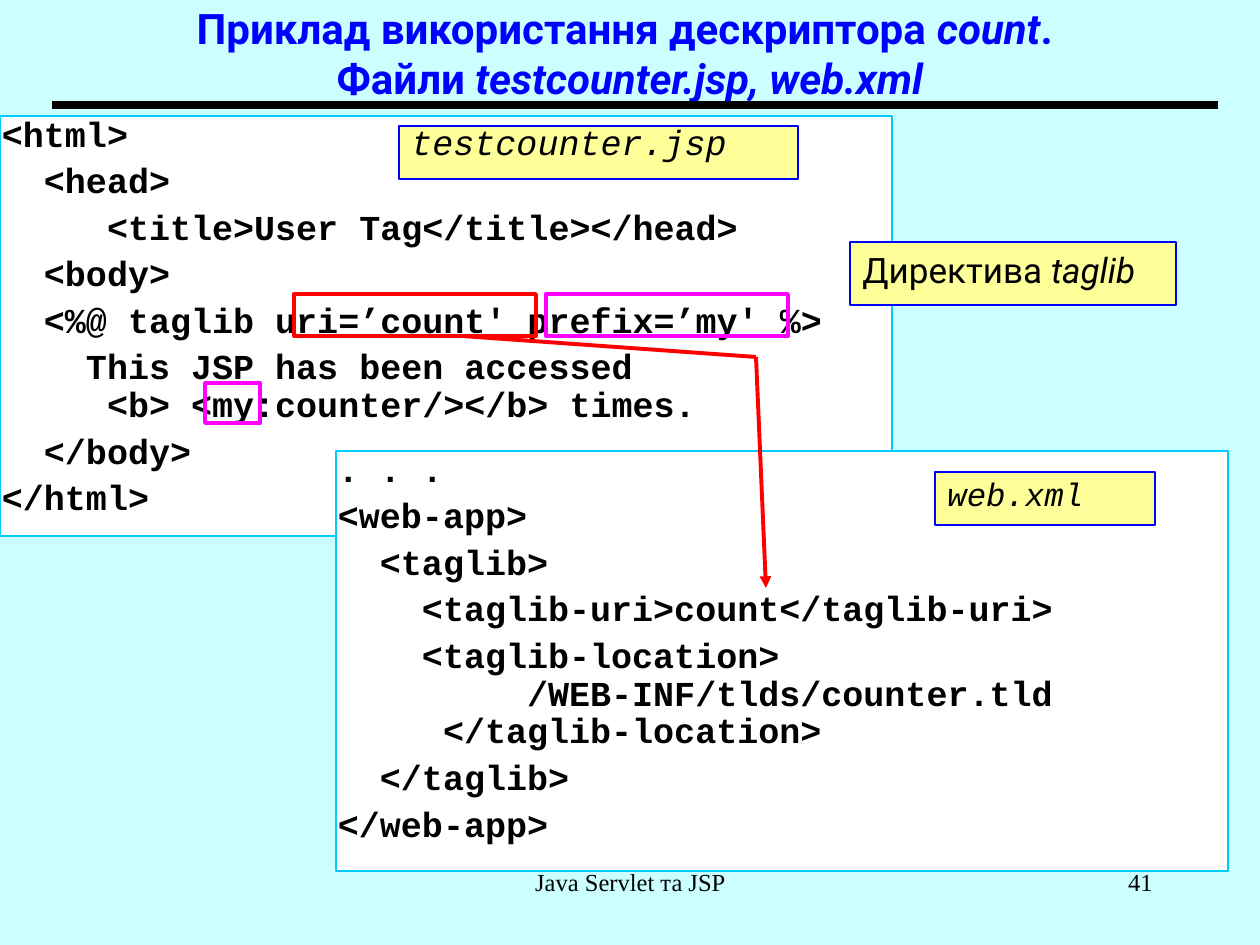
from pptx import Presentation
from pptx.dml.color import RGBColor
from pptx.enum.shapes import MSO_CONNECTOR, MSO_SHAPE
from pptx.enum.text import MSO_ANCHOR, MSO_AUTO_SIZE, PP_ALIGN
from pptx.oxml.ns import qn
from pptx.util import Pt
from lxml.etree import SubElement

PX = 914400 / 126

BACKGROUND = RGBColor(0xCC, 0xFF, 0xFF)
BLACK = RGBColor(0, 0, 0)
WHITE = RGBColor(0xFF, 0xFF, 0xFF)
BLUE = RGBColor(0, 0, 0xFF)
CYAN = RGBColor(0, 0xCC, 0xFF)
YELLOW = RGBColor(0xFF, 0xFF, 0x99)
RED = RGBColor(0xFF, 0, 0)
MAGENTA = RGBColor(0xFF, 0, 0xFF)

CODE, SANS, SERIF = "Courier New", "Roboto", "Times New Roman"

# Runs are (text, italic)
TITLE_LINES = [
    [("Приклад використання дескриптора ", False), ("count", True), (". ", False)],
    [("Файли", False), (" testcounter.jsp, web.xml", True)],
]

# Each item is a paragraph; a newline inside it is a line break
JSP_CODE = [
    "<html>",
    "  <head>",
    "     <title>User Tag</title></head>",
    "  <body>",
    "  <%@ taglib uri=’count' prefix=’my' %>",
    "    This JSP has been accessed \n     <b> <my:counter/></b> times.",
    "  </body>",
    "</html>",
]
XML_CODE = [
    ". . .",
    "<web-app>",
    "  <taglib>",
    "    <taglib-uri>count</taglib-uri>",
    "    <taglib-location>\n         /WEB-INF/tlds/counter.tld\n     </taglib-location>",
    "  </taglib>",
    "</web-app>",
]
CODE_PANELS = [((0, 116, 892, 420), JSP_CODE), ((336, 451, 892, 420), XML_CODE)]

# box, runs, font, size, line spacing
LABELS = [
    ((399, 126, 399, 53), [("testcounter.jsp", True)], CODE, 20, 0.7),
    ((935, 472, 220, 53), [("web.xml", True)], CODE, 18.5, 0.9),
    ((850, 242, 326, 63), [("Директива", False), (" taglib", True)], SANS, 20, 1.0),
]
HIGHLIGHTS = [
    ((546, 294, 242, 42), MAGENTA),
    ((294, 294, 242, 42), RED),
    ((205, 383, 55, 40), MAGENTA),
]
# start, end, colour, width, arrowhead
LINES = [
    ((52, 105), (1218, 105), BLACK, 4.5, False),
    ((756, 357), (766, 588), RED, 2.25, True),
    ((462, 336), (756, 357), RED, 2.25, False),
]
FOOTERS = [
    ((431, 861, 399, 63), "Java Servlet та JSP", PP_ALIGN.CENTER),
    ((903, 861, 262, 63), "41", PP_ALIGN.RIGHT),
]


def px(*lengths):
    return [round(length * PX) for length in lengths]


def set_font(paragraph, name, size, color=BLACK, bold=False):
    font = paragraph.font
    font.name, font.size, font.bold = name, Pt(size), bold
    font.color.rgb = color


def add_runs(paragraph, runs):
    for text, italic in runs:
        run = paragraph.add_run()
        run.text = text
        run.font.italic = italic


def add_rectangle(slide, box, line_color, line_width, fill_color=None):
    shape = slide.shapes.add_shape(MSO_SHAPE.RECTANGLE, *px(*box))
    shape.shadow.inherit = False
    if fill_color is None:
        shape.fill.background()
    else:
        shape.fill.solid()
        shape.fill.fore_color.rgb = fill_color
    shape.line.color.rgb = line_color
    shape.line.width = Pt(line_width)
    shape.text_frame.vertical_anchor = MSO_ANCHOR.TOP
    return shape


def add_code_panel(slide, box, code):
    frame = add_rectangle(slide, box, CYAN, 1, WHITE).text_frame
    frame.margin_left, frame.margin_top, frame.margin_right, frame.margin_bottom = px(2, 1, 0, 1)
    for index, text in enumerate(code):
        paragraph = frame.add_paragraph() if index else frame.paragraphs[0]
        paragraph.text = text
        paragraph.alignment = PP_ALIGN.LEFT
        paragraph.line_spacing = 0.9
        paragraph.space_before = Pt(5 if index else 0)
        set_font(paragraph, CODE, 20, bold=True)


def add_label(slide, box, runs, font_name, size, line_spacing):
    paragraph = add_rectangle(slide, box, BLUE, 1.5, YELLOW).text_frame.paragraphs[0]
    paragraph.alignment = PP_ALIGN.LEFT
    paragraph.line_spacing = line_spacing
    add_runs(paragraph, runs)
    set_font(paragraph, font_name, size)


def add_line(slide, start, end, color, width, arrowhead):
    connector = slide.shapes.add_connector(MSO_CONNECTOR.STRAIGHT, *px(*start, *end))
    connector.line.color.rgb = color
    connector.line.width = Pt(width)
    properties = connector.element.spPr
    if arrowhead:
        SubElement(properties.find(qn("a:ln")), qn("a:tailEnd"), type="triangle")
    SubElement(properties, qn("a:effectLst"))


def fill_title(title):
    title.left, title.top, title.width, title.height = px(0, 0, 1260, 105)
    frame = title.text_frame
    frame.auto_size = MSO_AUTO_SIZE.NONE
    frame.vertical_anchor = MSO_ANCHOR.MIDDLE
    paragraph = frame.paragraphs[0]
    paragraph.alignment = PP_ALIGN.CENTER
    for index, runs in enumerate(TITLE_LINES):
        if index:
            paragraph.add_line_break()
        add_runs(paragraph, runs)
    set_font(paragraph, SANS, 24, BLUE, bold=True)


def add_footer(slide, box, text, alignment):
    frame = slide.shapes.add_textbox(*px(*box)).text_frame
    frame.word_wrap = True
    paragraph = frame.paragraphs[0]
    paragraph.text = text
    paragraph.alignment = alignment
    set_font(paragraph, SERIF, 14)


def main():
    presentation = Presentation()
    presentation.slide_width, presentation.slide_height = px(1260, 945)
    slide = presentation.slides.add_slide(presentation.slide_layouts[5])
    slide.background.fill.solid()
    slide.background.fill.fore_color.rgb = BACKGROUND

    fill_title(slide.shapes.title)
    for panel in CODE_PANELS:
        add_code_panel(slide, *panel)
    for label in LABELS:
        add_label(slide, *label)
    for line in LINES:
        add_line(slide, *line)
    for box, color in HIGHLIGHTS:
        add_rectangle(slide, box, color, 2.25)
    for footer in FOOTERS:
        add_footer(slide, *footer)
    presentation.save("out.pptx")


if __name__ == "__main__":
    main()
